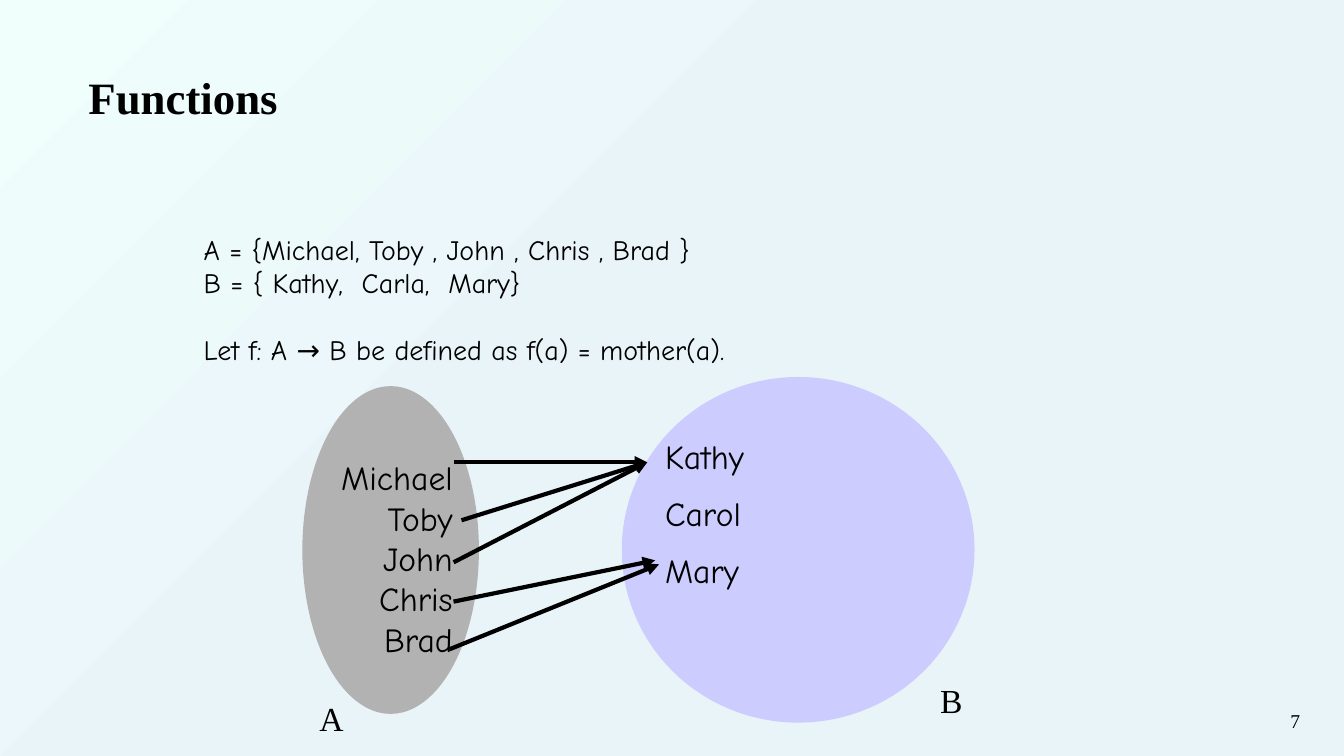
from lxml.etree import SubElement
from pptx import Presentation
from pptx.dml.color import RGBColor
from pptx.enum.shapes import MSO_CONNECTOR, MSO_SHAPE
from pptx.enum.text import MSO_ANCHOR, MSO_AUTO_SIZE, PP_ALIGN
from pptx.oxml.ns import qn
from pptx.util import Cm, Pt

BLACK = RGBColor(0x00, 0x00, 0x00)
GRAY = RGBColor(0xB2, 0xB2, 0xB2)
LILAC = RGBColor(0xCC, 0xCC, 0xFF)
MINT = RGBColor(0xF0, 0xFF, 0xFB)
PALE = RGBColor(0xE9, 0xF4, 0xF9)
SERIF = "Times New Roman"
HAND = "Comic Neue"


def apply(item, values):
    for name, value in values.items():
        setattr(item, name, value)


class Page:
    def __init__(self, deck):
        self.slide = deck.slides.add_slide(deck.slide_layouts[1])
        self.shapes = self.slide.shapes
        self.font = {"size": Pt(24), "name": HAND, "bold": False}

    def back(self):
        fill = self.slide.background.fill
        fill.gradient()
        fill.gradient_angle = 315
        for stop, color, place in zip(fill.gradient_stops, (MINT, PALE), (0, 0.45)):
            stop.color.rgb = color
            stop.position = place

    def fill_text(self, shape, lines, font=None, align=PP_ALIGN.LEFT, gaps=(), **frame):
        text = shape.text_frame
        apply(text, {"word_wrap": True, "auto_size": MSO_AUTO_SIZE.NONE, **frame})
        text.text = "\n".join(lines)
        for row, para in enumerate(text.paragraphs):
            props = para._p.get_or_add_pPr()
            props.set("marL", "0")
            props.set("indent", "0")
            SubElement(props, qn("a:buNone"))
            gap = Pt(gaps[row] if gaps else 0)
            apply(para, {"alignment": align, "space_before": gap})
            apply(para.font, {**self.font, **(font or {})})
            para.font.color.rgb = BLACK

    def holder(self, index, box, lines, **style):
        shape = self.slide.placeholders[index]
        apply(shape, dict(zip(("left", "top", "width", "height"), map(Cm, box))))
        self.fill_text(shape, lines, **style)

    def label(self, box, lines, **style):
        self.fill_text(self.shapes.add_textbox(*map(Cm, box)), lines, **style)

    def oval(self, box, color):
        shape = self.shapes.add_shape(MSO_SHAPE.OVAL, *map(Cm, box))
        shape.shadow.inherit = False
        shape.fill.solid()
        shape.fill.fore_color.rgb = color
        shape.line.fill.background()

    def arrow(self, start, end):
        link = self.shapes.add_connector(MSO_CONNECTOR.STRAIGHT, *map(Cm, start + end))
        link.line.width = Pt(3)
        link.line.color.rgb = BLACK
        props = link._element.spPr
        SubElement(props.find(qn("a:ln")), qn("a:tailEnd"), type="triangle")
        SubElement(props, qn("a:effectLst"))


def main():
    deck = Presentation()
    apply(deck, {"slide_width": Cm(33.87), "slide_height": Cm(19.05)})
    page = Page(deck)
    page.back()
    page.label((25.12, 17.73, 7.9, 1.32), ["7"],
               font={"size": Pt(14), "name": SERIF}, align=PP_ALIGN.RIGHT)
    page.holder(0, (1.7, 0.84, 31.04, 3.18), ["Functions"],
                font={"size": Pt(32), "name": SERIF, "bold": True},
                vertical_anchor=MSO_ANCHOR.MIDDLE, margin_left=Cm(0.53))
    sets = ["A = {Michael, Toby , John , Chris , Brad }",
            "B = { Kathy,  Carla,  Mary}",
            "Let f: A → B be defined as f(a) = mother(a)."]
    page.holder(1, (4.88, 5.72, 21.29, 12.5), sets, font={"size": Pt(20)},
                gaps=(0, 0, 24), vertical_anchor=MSO_ANCHOR.TOP)

    page.oval((7.62, 9.73, 4.45, 8.26), GRAY)
    page.label((8.05, 11.4, 3.61, 5.38), ["Michael Toby John Chris Brad"],
               align=PP_ALIGN.RIGHT)
    page.oval((15.67, 9.5, 8.89, 8.71), LILAC)
    page.label((16.51, 10.85, 7.19, 4.37), ["Kathy", "Carol", "Mary"], gaps=(0, 12, 12))

    kathy = (16.31, 11.65)
    arrows = [((11.43, 11.65), kathy), ((11.63, 13.11), kathy),
              ((11.43, 14.17), kathy), ((11.43, 15.16), (16.51, 14.12)),
              ((11.33, 16.36), (16.61, 14.22))]
    for start, end in arrows:
        page.arrow(start, end)
    for name, left, top in (("A", 7.8, 17.45), ("B", 23.44, 17.02)):
        page.label((left, top, 1.1, 1.27), [name], font={"name": SERIF}, word_wrap=False)
    deck.save("out.pptx")


if __name__ == "__main__":
    main()
